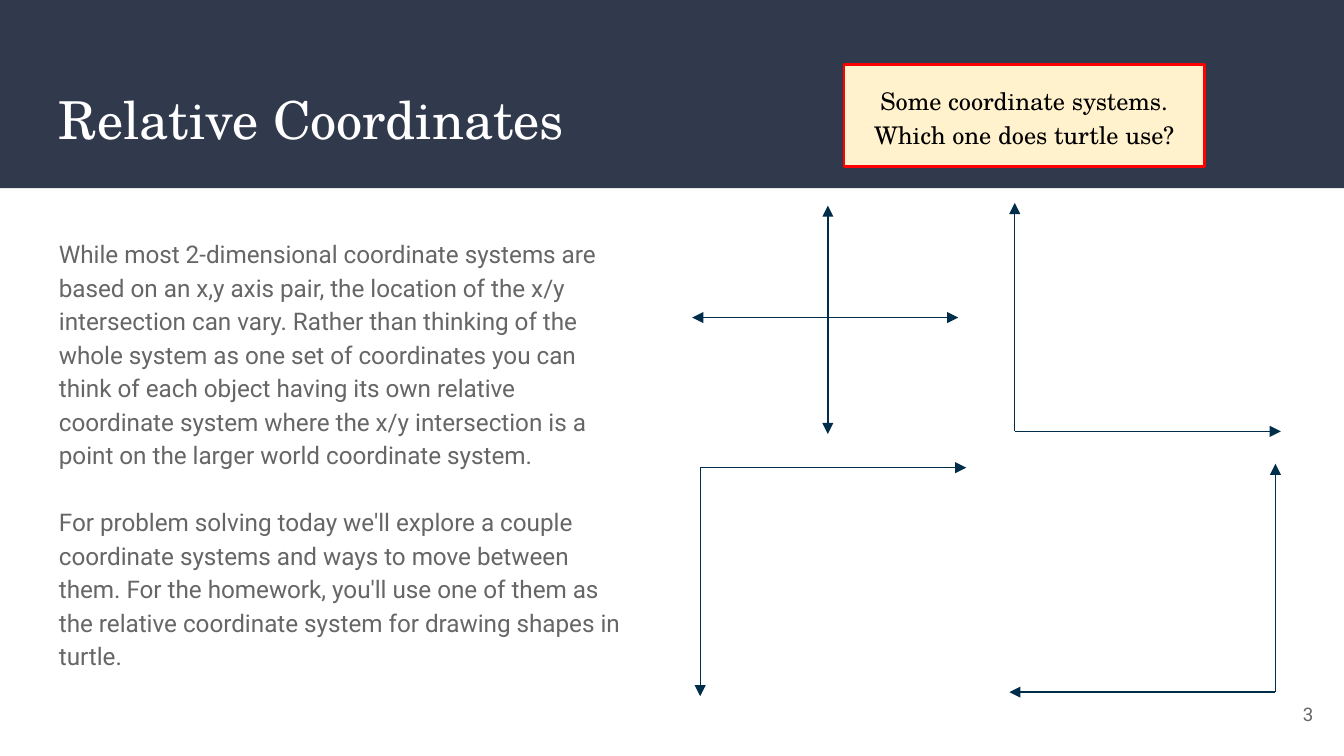
from pptx import Presentation
from pptx.dml.color import RGBColor
from pptx.enum.shapes import MSO_CONNECTOR as CONN, MSO_SHAPE as SHAPE
from pptx.enum.text import MSO_ANCHOR as ANCHOR, PP_ALIGN as ALIGN
from pptx.oxml.ns import qn
from pptx.util import Inches, Pt
from lxml.etree import SubElement

NAVY = RGBColor(0x31, 0x39, 0x4D)
AXIS = RGBColor(0x00, 0x2D, 0x49)
GREY = RGBColor(0x66, 0x66, 0x66)
CREAM = RGBColor(0xFF, 0xF2, 0xCC)
RED = RGBColor(0xFF, 0x00, 0x00)
WHITE = RGBColor(0xFF, 0xFF, 0xFF)
BLACK = RGBColor(0x00, 0x00, 0x00)
SERIF, SANS = "TeX Gyre Schola", "Roboto"

WIDTH = 10
HEIGHT = WIDTH * 9 / 16
MARGIN, BAND = 0.34, 1.4
AXIS_W, AXIS_H = 1.98, 1.7

BODY = [
    "While most 2-dimensional coordinate systems are based on an x,y axis pair, "
    "the location of the x/y intersection can vary. Rather than thinking of the "
    "whole system as one set of coordinates you can think of each object having "
    "its own relative coordinate system where the x/y intersection is a point on "
    "the larger world coordinate system.",
    "For problem solving today we'll explore a couple coordinate systems and ways "
    "to move between them. For the homework, you'll use one of them as the "
    "relative coordinate system for drawing shapes in turtle.",
]

# Left and top of each axis pair, then its origin as a share of width and height
AXIS_PAIRS = [
    (5.15, 1.53, 0.51, 0.49),
    (5.21, 3.48, 0, 0),
    (7.55, 1.51, 0, 1),
    (7.51, 3.45, 1, 1),
]


def write(sp, paragraphs, font, size, color, align=ALIGN.LEFT,
          anchor=ANCHOR.TOP, spacing=1.0, gap=0):
    tf = sp.text_frame
    tf.word_wrap = True
    tf.vertical_anchor = anchor
    tf.margin_left = tf.margin_right = Inches(0.1)
    tf.margin_top = tf.margin_bottom = Inches(0.1)
    for i, text in enumerate(paragraphs):
        p = tf.paragraphs[0] if i == 0 else tf.add_paragraph()
        p.alignment, p.line_spacing = align, spacing
        if i:
            p.space_before = Pt(gap)
        r = p.add_run()
        r.text = text
        r.font.name, r.font.size = font, Pt(size)
        r.font.color.rgb = color


def add_text(s, box, paragraphs, *style, **layout):
    sp = s.shapes.add_textbox(*map(Inches, box))
    write(sp, paragraphs, *style, **layout)


def add_box(s, box, fill, line=None):
    sp = s.shapes.add_shape(SHAPE.RECTANGLE, *map(Inches, box))
    sp.shadow.inherit = False
    sp.fill.solid()
    sp.fill.fore_color.rgb = fill
    if line is None:
        sp.line.fill.background()
    else:
        sp.line.color.rgb, sp.line.width = line, Pt(1.5)
    return sp


def add_axis(group, start, end, head, tail):
    axis = group.shapes.add_connector(CONN.STRAIGHT, *map(Inches, start + end))
    axis.line.color.rgb, axis.line.width = AXIS, Pt(0.75)
    ln = axis.line._get_or_add_ln()
    for tag, shown in (("a:headEnd", head), ("a:tailEnd", tail)):
        if shown:
            SubElement(ln, qn(tag), type="triangle", w="med", len="med")
    SubElement(axis._element.spPr, qn("a:effectLst"))


def add_axis_pair(s, left, top, ox, oy):
    """Draw both axes; an end has an arrowhead unless the origin lies there."""
    group = s.shapes.add_group_shape()
    x, y = left + ox * AXIS_W, top + oy * AXIS_H
    add_axis(group, (left, y), (left + AXIS_W, y), ox > 0, ox < 1)
    add_axis(group, (x, top + AXIS_H), (x, top), oy < 1, oy > 0)


def main():
    prs = Presentation()
    prs.slide_width, prs.slide_height = Inches(WIDTH), Inches(HEIGHT)
    s = prs.slides.add_slide(prs.slide_layouts[6])

    # Title band
    add_box(s, (0, 0, WIDTH, BAND), NAVY)
    add_text(s, (MARGIN, 0.55, WIDTH - 2 * MARGIN, 0.68),
             ["Relative Coordinates"], SERIF, 28, WHITE)

    # Body text and page number
    add_text(s, (MARGIN, 1.65, 4.37, 3.36), BODY, SANS, 13, GREY,
             spacing=1.15, gap=18)
    add_text(s, (9.27, 5.1, 0.6, 0.43), ["3"], SANS, 10, GREY,
             align=ALIGN.RIGHT, anchor=ANCHOR.MIDDLE)

    # Coordinate systems
    for pair in AXIS_PAIRS:
        add_axis_pair(s, *pair)

    # Question callout
    callout = add_box(s, (6.28, 0.48, 2.68, 0.76), CREAM, RED)
    write(callout, ["Some coordinate systems. Which one does turtle use?"],
          SERIF, 13, BLACK, align=ALIGN.CENTER, anchor=ANCHOR.MIDDLE,
          spacing=1.15)

    prs.save("out.pptx")


if __name__ == "__main__":
    main()
